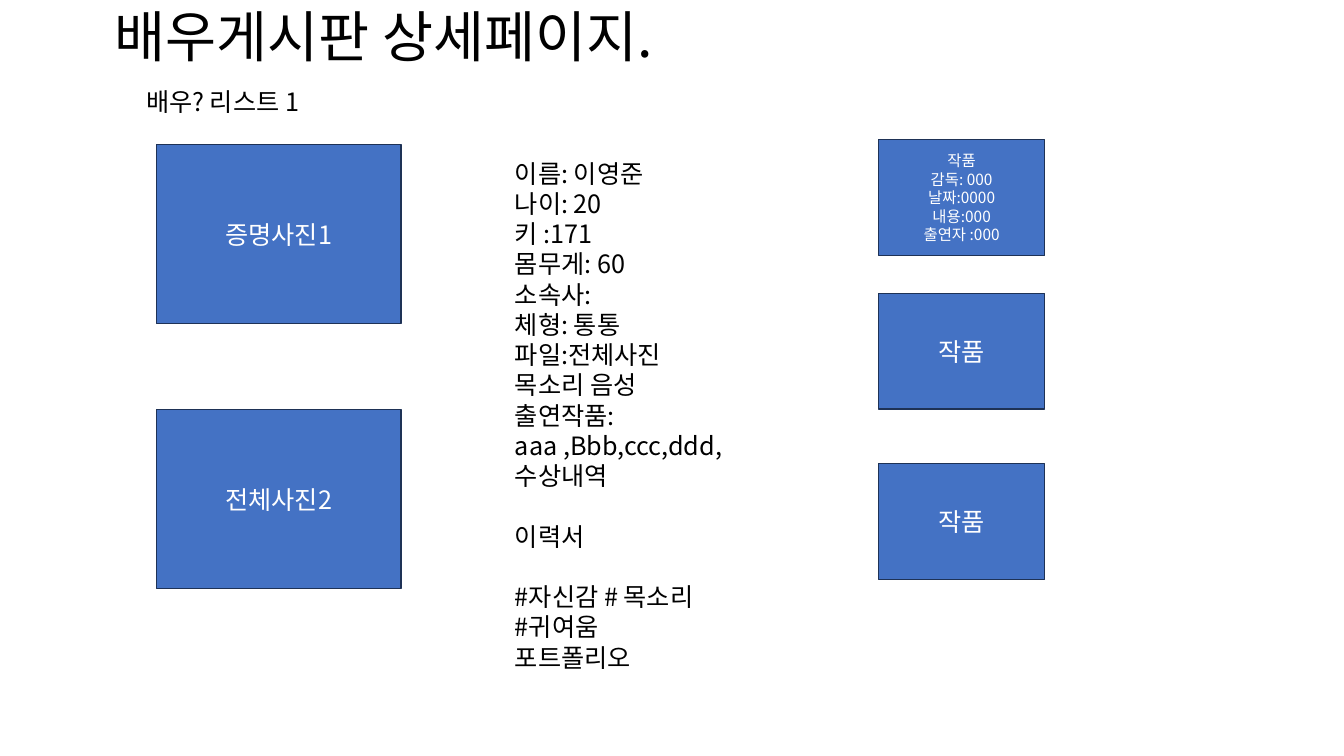
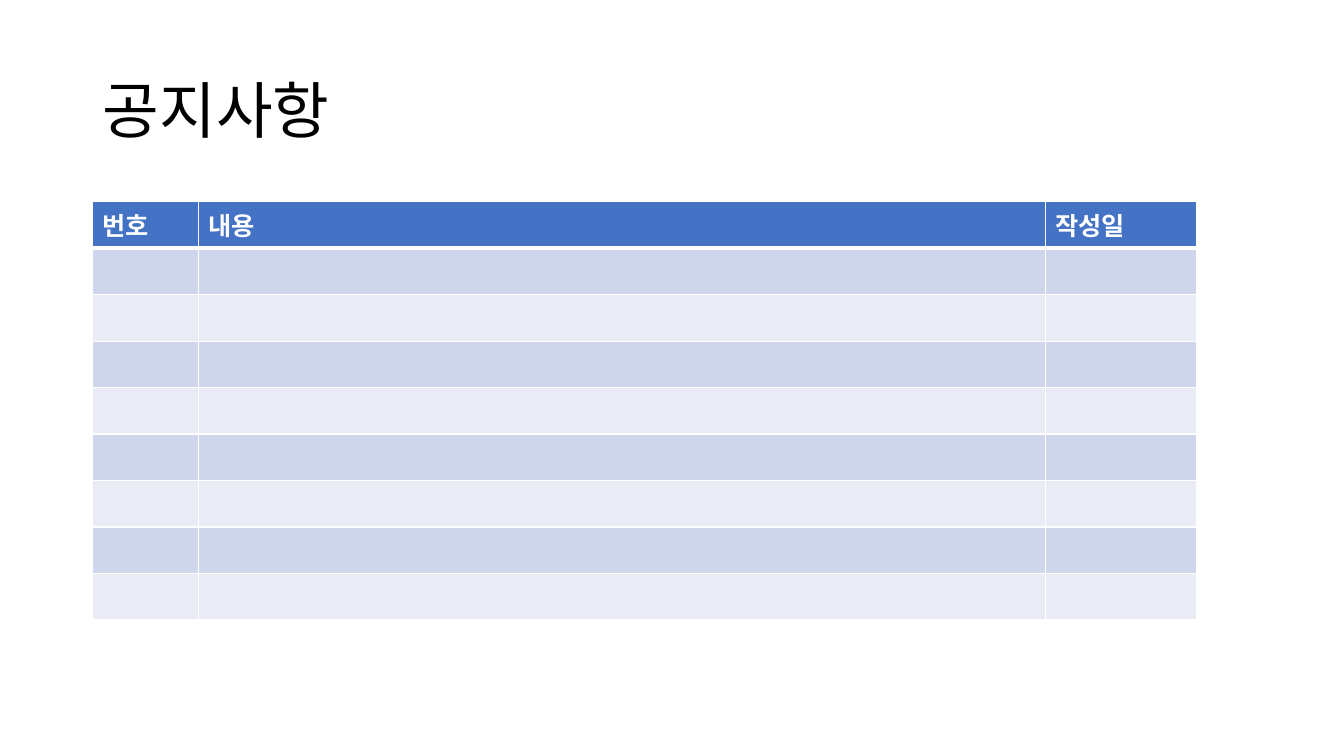
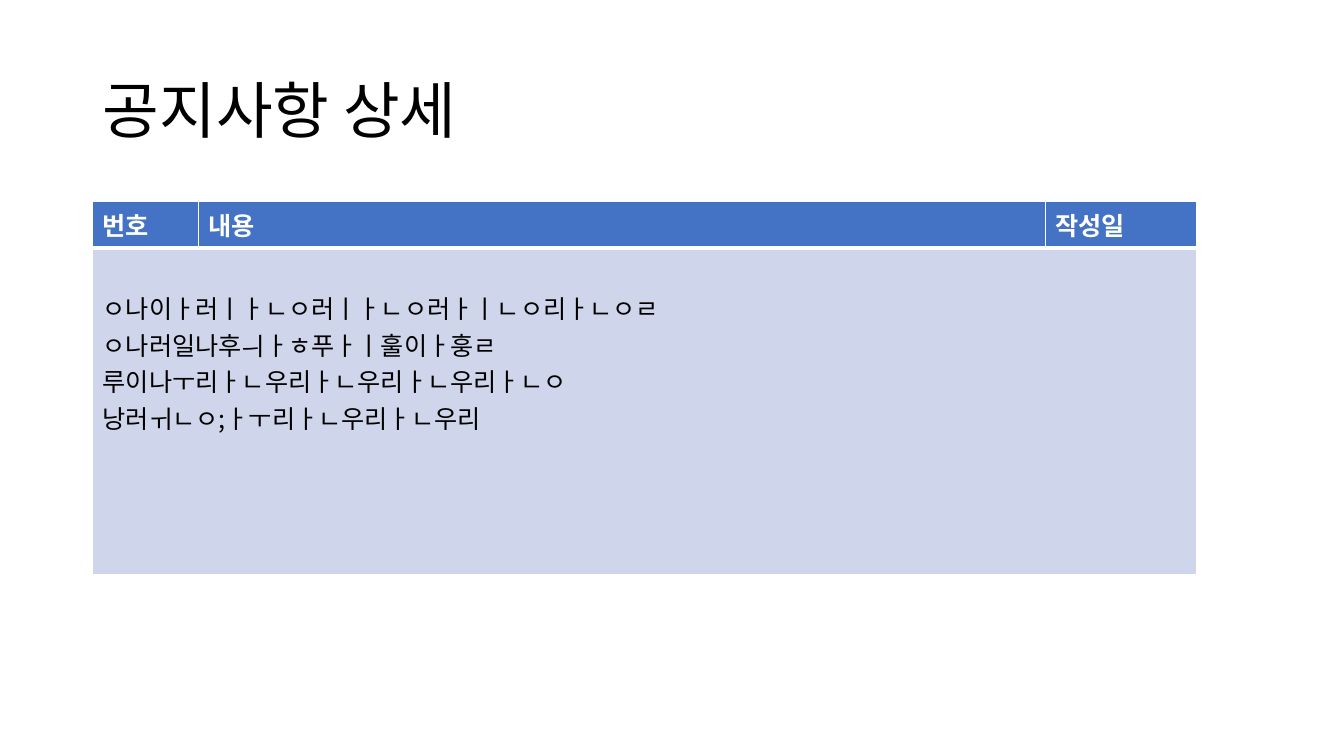
from lxml import etree
from pptx import Presentation
from pptx.dml.color import RGBColor
from pptx.enum.shapes import MSO_SHAPE
from pptx.enum.text import MSO_ANCHOR, PP_ALIGN
from pptx.oxml.ns import qn
from pptx.util import Pt

RECTANGLE = MSO_SHAPE.RECTANGLE
TOP, MIDDLE = MSO_ANCHOR.TOP, MSO_ANCHOR.MIDDLE
LEFT, CENTER = PP_ALIGN.LEFT, PP_ALIGN.CENTER

FONT = "Noto Sans CJK KR"
BLACK = RGBColor(0x00, 0x00, 0x00)
WHITE = RGBColor(0xFF, 0xFF, 0xFF)
BLUE = RGBColor(0x44, 0x72, 0xC4)
NAVY = RGBColor(0x1E, 0x32, 0x56)
BAND_DARK = RGBColor(0xCF, 0xD5, 0xEA)
BAND_LIGHT = RGBColor(0xE9, 0xEB, 0xF5)
BLANK_LINE = 21.6

TITLE_BOX = (66.2, 28.8, 828, 104.4)
TABLE_LEFT, TABLE_TOP = 66.2, 144
COLUMN_WIDTHS = (75.6, 604.8, 108)
ROW_HEIGHT = 33.2
HEADINGS = ("번호", "내용", "작성일")


def write(text_frame, text, size=18, color=BLACK, bold=False, align=LEFT,
          anchor=TOP, spacing=1.0, gap_before=()):
    """Fill a frame, one paragraph a line; lines in gap_before get a gap above."""
    text_frame.word_wrap = True
    text_frame.vertical_anchor = anchor
    for index, line in enumerate(text.split("\n")):
        paragraph = text_frame.add_paragraph() if index else text_frame.paragraphs[0]
        paragraph.alignment = align
        paragraph.line_spacing = spacing
        paragraph.space_before = Pt(BLANK_LINE if line in gap_before else 0)
        run = paragraph.add_run()
        run.text = line
        run.font.size = Pt(size)
        run.font.bold = bold
        run.font.color.rgb = color
        run.font.name = FONT
        east_asian = etree.SubElement(run._r.get_or_add_rPr(), qn("a:ea"))
        east_asian.set("typeface", FONT)


def style_cell(cell, fill, top=1, bottom=1):
    """Give a cell its fill and white borders, widths in points."""
    properties = cell._tc.get_or_add_tcPr()
    for side, width in (("L", 1), ("R", 1), ("T", top), ("B", bottom)):
        border = etree.SubElement(properties, qn(f"a:ln{side}"), w=str(Pt(width)))
        solid = etree.SubElement(border, qn("a:solidFill"))
        etree.SubElement(solid, qn("a:srgbClr"), val=str(WHITE))
    cell.fill.solid()
    cell.fill.fore_color.rgb = fill


presentation = Presentation()
presentation.slide_width, presentation.slide_height = Pt(960), Pt(540)
title_only = presentation.slide_layouts[5]

# Titles
slides = []
for title, box, size in (
    ("배우게시판 상세페이지.", (74.9, 9.4, 702.7, 38.2), 39.6),
    ("공지사항", TITLE_BOX, 44),
    ("공지사항 상세", TITLE_BOX, 44),
):
    slide = presentation.slides.add_slide(title_only)
    shape = slide.shapes.title
    shape.left, shape.top, shape.width, shape.height = map(Pt, box)
    write(shape.text_frame, title, size=size, anchor=MIDDLE, spacing=0.9)
    slides.append(slide)
actor_slide, list_slide, detail_slide = slides

# Actor page: photos and works
PHOTO_SIZE = (175, 128.2)
WORK_SIZE = (118.8, 82.8)
WORK_DETAILS = "작품\n감독: 000\n날짜:0000\n내용:000\n출연자 :000"
for text, position, box_size, size in (
    ("증명사진1", (111.6, 103), PHOTO_SIZE, 18),
    ("전체사진2", (111.6, 292.3), PHOTO_SIZE, 18),
    (WORK_DETAILS, (627.5, 99.8), WORK_SIZE, 11),
    ("작품", (627.5, 209.5), WORK_SIZE, 18),
    ("작품", (627.5, 331.2), WORK_SIZE, 18),
):
    shape = actor_slide.shapes.add_shape(RECTANGLE, *map(Pt, position + box_size))
    shape.shadow.inherit = False
    shape.fill.solid()
    shape.fill.fore_color.rgb = BLUE
    shape.line.color.rgb = NAVY
    shape.line.width = Pt(1)
    write(shape.text_frame, text, size=size, color=WHITE, align=CENTER, anchor=MIDDLE)

# Actor page: profile
PROFILE = """이름: 이영준
나이: 20
키 :171
몸무게: 60
소속사:
체형: 통통
파일:전체사진
목소리 음성
출연작품:
aaa ,Bbb,ccc,ddd,
수상내역
이력서
#자신감 # 목소리
#귀여움
포트폴리오"""
for text, box in (
    ("배우? 리스트 1", (97.2, 58.3, 310.3, 28.8)),
    (PROFILE, (360.7, 109.4, 406.8, 443.5)),
):
    shape = actor_slide.shapes.add_textbox(*map(Pt, box))
    write(shape.text_frame, text, gap_before=("이력서", "#자신감 # 목소리"))

# Notice tables
tables = []
for slide, body_heights in ((list_slide, [ROW_HEIGHT] * 8), (detail_slide, [233.3])):
    heights = [ROW_HEIGHT] + body_heights
    table = slide.shapes.add_table(
        len(heights), len(COLUMN_WIDTHS), Pt(TABLE_LEFT), Pt(TABLE_TOP),
        Pt(sum(COLUMN_WIDTHS)), Pt(sum(heights))).table
    for column, width in zip(table.columns, COLUMN_WIDTHS):
        column.width = Pt(width)
    for row_index, height in enumerate(heights):
        row = table.rows[row_index]
        row.height = Pt(height)
        for cell, heading in zip(row.cells, HEADINGS):
            if row_index == 0:
                style_cell(cell, BLUE, bottom=3)
                write(cell.text_frame, heading, color=WHITE, bold=True)
            else:
                style_cell(cell, BAND_DARK if row_index % 2 else BAND_LIGHT,
                           top=3 if row_index == 1 else 1)
    tables.append(table)

# Notice text
NOTICE = """ㅇ나이ㅏ러ㅣㅏㄴㅇ러ㅣㅏㄴㅇ러ㅏㅣㄴㅇ리ㅏㄴㅇㄹ
ㅇ나러일나후ㅢㅏㅎ푸ㅏㅣ훌이ㅏ훙ㄹ
루이나ㅜ리ㅏㄴ우리ㅏㄴ우리ㅏㄴ우리ㅏㄴㅇ
낭러ㅟㄴㅇ;ㅏㅜ리ㅏㄴ우리ㅏㄴ우리"""
notice_cell = tables[1].cell(1, 0)
notice_cell.merge(tables[1].cell(1, 2))
notice_cell.margin_top = Pt(29.6)
write(notice_cell.text_frame, NOTICE)

presentation.save("out.pptx")
